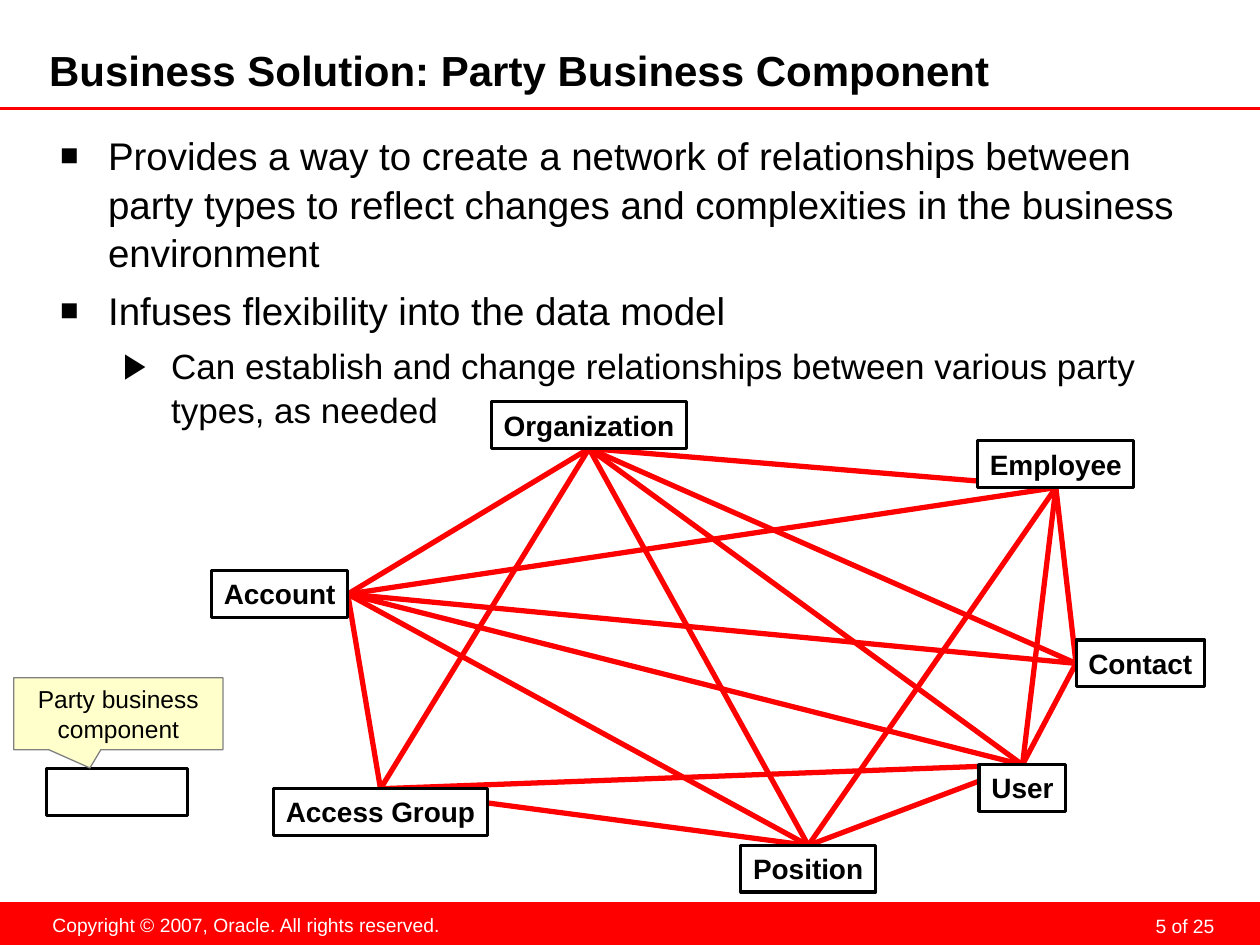
import pptx
import pptx.util
import pptx.dml.color
import pptx.enum.shapes
import pptx.enum.text
import pptx.oxml.ns
from lxml import etree

Inches = pptx.util.Inches
Pt = pptx.util.Pt
RGBColor = pptx.dml.color.RGBColor
SHAPE = pptx.enum.shapes.MSO_SHAPE
ALIGN = pptx.enum.text.PP_ALIGN
ANCHOR = pptx.enum.text.MSO_ANCHOR
qn = pptx.oxml.ns.qn

RED = RGBColor(0xFF, 0x00, 0x00)
BLACK = RGBColor(0x00, 0x00, 0x00)
WHITE = RGBColor(0xFF, 0xFF, 0xFF)
GRAY = RGBColor(0x80, 0x80, 0x80)
CREAM = RGBColor(0xFF, 0xFF, 0xCC)
FONT = "Arial"
TOP, LEFT, BOTTOM, RIGHT = range(4)
BOX_HEIGHT = 0.37

# Party type: left, top, width, side where its links meet
PARTIES = {
    "Employee": (7.76, 3.5, 1.24, BOTTOM),
    "Position": (5.88, 6.71, 1.07, TOP),
    "Organization": (3.9, 3.19, 1.55, BOTTOM),
    "Contact": (8.54, 5.08, 1.02, LEFT),
    "Account": (1.68, 4.53, 1.08, RIGHT),
    "Access Group": (2.17, 6.26, 1.7, TOP),
    "User": (7.77, 6.07, 0.69, TOP),
}
RELATIONS = {
    "Organization": ["Account", "Access Group", "Position", "Contact", "Employee", "User"],
    "Account": ["Access Group", "Position", "User", "Contact", "Employee"],
    "Employee": ["Position", "User", "Contact"],
    "Access Group": ["Position", "User"],
    "User": ["Contact", "Position"],
}
# Text, size, text indent, space before, bullet, bullet size in percent
BULLETS = [
    ("Provides a way to create a network of relationships between party types "
     "to reflect changes and complexities in the business environment",
     22, 0.38, 0, "■", 80),
    ("Infuses flexibility into the data model", 22, 0.38, 5.5, "■", 80),
    ("Can establish and change relationships between various party types, as needed",
     20, 0.88, 5, "▶", 100),
]


def add_run(p, text, size, color=BLACK, bold=False):
    r = p.add_run()
    r.text = text
    r.font.name = FONT
    r.font.size = Pt(size)
    r.font.bold = bold
    r.font.color.rgb = color


def set_frame(tf, insets=(0.1, 0.05, 0.1, 0.05), wrap=True, anchor=ANCHOR.TOP):
    tf.margin_left, tf.margin_top, tf.margin_right, tf.margin_bottom = map(Inches, insets)
    tf.word_wrap = wrap
    tf.vertical_anchor = anchor


def add_text(s, at, text, size, color=BLACK, bold=False, align=ALIGN.LEFT, **frame):
    tf = s.shapes.add_textbox(*map(Inches, at)).text_frame
    set_frame(tf, **frame)
    p = tf.paragraphs[0]
    p.alignment = align
    add_run(p, text, size, color, bold)
    return p


def add_box(s, at, fill, line=None, width=1.75, kind=SHAPE.RECTANGLE):
    sp = s.shapes.add_shape(kind, *map(Inches, at))
    sp.shadow.inherit = False
    sp.fill.solid()
    sp.fill.fore_color.rgb = fill
    if line is None:
        sp.line.fill.background()
    else:
        sp.line.color.rgb = line
        sp.line.width = Pt(width)
    return sp


def label(sp, text, size, bold=False, **frame):
    set_frame(sp.text_frame, **frame)
    p = sp.text_frame.paragraphs[0]
    p.alignment = ALIGN.CENTER
    add_run(p, text, size, bold=bold)


def add_line(s, start=(0, 0), end=(0, 0), width=3):
    line = s.shapes.add_connector(pptx.enum.shapes.MSO_CONNECTOR.STRAIGHT,
                                  *map(Inches, start + end))
    line.line.color.rgb = RED
    line.line.width = Pt(width)
    etree.SubElement(line._element.spPr, qn("a:effectLst"))
    return line


def set_bullet(p, char, percent, indent):
    pPr = p._p.get_or_add_pPr()
    pPr.set("marL", str(Inches(indent)))
    pPr.set("indent", str(Inches(-0.38)))
    color = etree.SubElement(pPr, qn("a:buClr"))
    etree.SubElement(color, qn("a:srgbClr"), val=str(BLACK))
    etree.SubElement(pPr, qn("a:buSzPct"), val=str(percent * 1000))
    etree.SubElement(pPr, qn("a:buFont"), typeface=FONT)
    etree.SubElement(pPr, qn("a:buChar"), char=char)


def add_bullets(s):
    tf = s.shapes.add_textbox(*map(Inches, (0.38, 0.93, 9.4, 6.15))).text_frame
    set_frame(tf, (0.1, 0.1, 0.1, 0.05))
    for i, (text, size, indent, before, char, percent) in enumerate(BULLETS):
        p = tf.add_paragraph() if i else tf.paragraphs[0]
        p.line_spacing = 1.05
        p.space_before = Pt(before)
        set_bullet(p, char, percent, indent)
        add_run(p, text, size)


def add_network(s):
    """Draw the links first so that they lie behind the boxes, then join them."""
    links = [(add_line(s), a, b) for a, others in RELATIONS.items() for b in others]
    boxes = {}
    for name, (left, top, width, _) in PARTIES.items():
        boxes[name] = add_box(s, (left, top, width, BOX_HEIGHT), WHITE, BLACK)
        label(boxes[name], name, 16, bold=True, wrap=False)
    for link, a, b in links:
        link.begin_connect(boxes[a], PARTIES[a][-1])
        link.end_connect(boxes[b], PARTIES[b][-1])


def add_legend(s):
    add_box(s, (0.37, 6.1, 1.12, BOX_HEIGHT), WHITE, BLACK)
    callout = add_box(s, (0.11, 5.38, 1.66, 0.57), CREAM, GRAY, 0.75,
                      SHAPE.RECTANGULAR_CALLOUT)
    callout.adjustments[0] = -0.136
    callout.adjustments[1] = 0.755
    label(callout, "Party business component", 14, anchor=ANCHOR.MIDDLE)


def add_footer(s):
    add_box(s, (0, 7.16, 10, 0.34), RED)
    p = add_text(s, (7.36, 7.19, 2.33, 0.25), "5 of 25", 11, WHITE,
                 align=ALIGN.RIGHT, insets=(0.05, 0, 0.05, 0))
    p.line_spacing = Pt(18)
    add_text(s, (0.31, 7.2, 3.29, 0.29), "Copyright © 2007, Oracle. All rights reserved.",
             11, WHITE, align=ALIGN.CENTER, wrap=False)


def main():
    prs = pptx.Presentation()
    prs.slide_width, prs.slide_height = Inches(10), Inches(7.5)
    s = prs.slides.add_slide(prs.slide_layouts[6])
    add_footer(s)
    add_line(s, (0, 0.86), (10, 0.86), 1.75)
    add_text(s, (0.39, 0.38, 7.87, 0.4), "Business Solution: Party Business Component",
             24, bold=True, insets=(0, 0, 0.05, 0.05), anchor=ANCHOR.MIDDLE)
    add_bullets(s)
    add_network(s)
    add_legend(s)
    prs.save("out.pptx")


if __name__ == "__main__":
    main()
